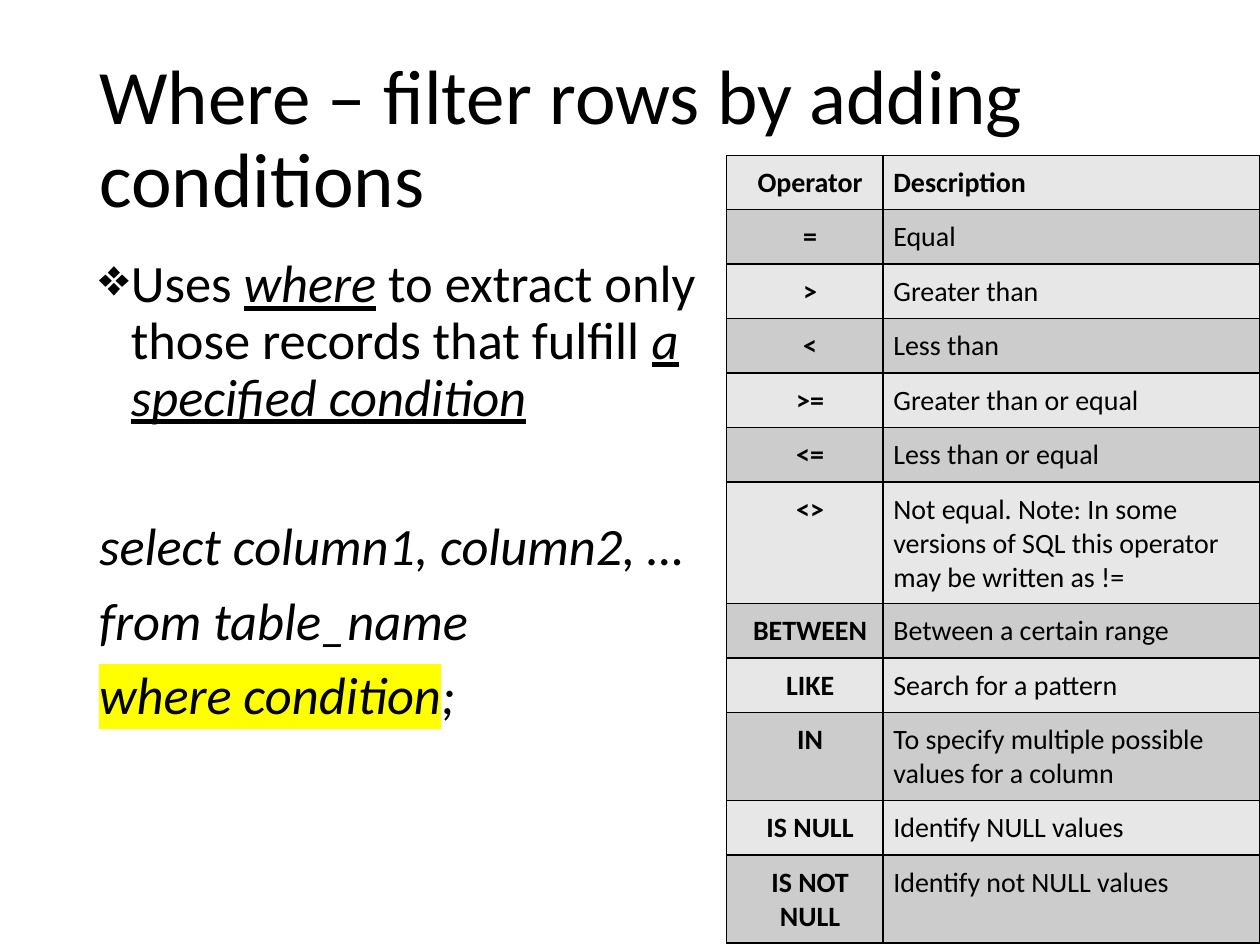
from lxml.etree import SubElement
from pptx import Presentation
from pptx.dml.color import RGBColor
from pptx.enum.text import MSO_ANCHOR, PP_ALIGN
from pptx.oxml import parse_xml
from pptx.oxml.ns import nsdecls, qn
from pptx.util import Cm, Pt

BLACK = "000000"
HEADER_BAND, ALTERNATE_BAND = "E7E7E7", "CCCCCC"
OPERATORS = [
    ("Operator", "Description"),
    ("=", "Equal"),
    (">", "Greater than"),
    ("<", "Less than"),
    (">=", "Greater than or equal"),
    ("<=", "Less than or equal"),
    ("<>", "Not equal.\u00a0Note:\u00a0In some versions of SQL this operator may be written as !="),
    ("BETWEEN", "Between a certain range"),
    ("LIKE", "Search for a pattern"),
    ("IN", "To specify multiple possible values for a column"),
    ("IS NULL", "Identify NULL values"),
    ("IS NOT NULL", "Identify not NULL values"),
]


def paint(color_holder, color):
    if hasattr(color_holder, "solid"):
        color_holder.solid()
        color_holder = color_holder.fore_color
    color_holder.rgb = RGBColor.from_string(color)


def add_words(paragraph, words, size, bold=False, italic=False, underline=False, highlight=None):
    run = paragraph.add_run()
    run.text = words
    font = run.font
    font.name, font.size = "Calibri", Pt(size)
    font.bold, font.italic, font.underline = bold, italic, underline
    paint(font.fill, BLACK)
    if highlight:
        marker = parse_xml(
            f'<a:highlight {nsdecls("a")}><a:srgbClr val="{highlight}"/></a:highlight>')
        font.fill.fore_color
        run._r.rPr.find(qn("a:solidFill")).addnext(marker)


def add_frame(slide, box, anchor):
    frame = slide.shapes.add_textbox(*box).text_frame
    frame.word_wrap = True
    frame.vertical_anchor = anchor
    return frame


def add_heading(slide, box):
    heading = add_frame(slide, box, MSO_ANCHOR.MIDDLE).paragraphs[0]
    heading.line_spacing = 0.9
    add_words(heading, "Where – filter rows by adding conditions", 44)


def add_explanation(slide, box):
    emphasis = {"italic": True, "underline": True}
    slanted = {"italic": True}
    lines = [
        (10, [("Uses ", {}), ("where", emphasis),
              (" to extract only those records that fulfill ", {}),
              ("a specified condition", emphasis)]),
        (53, [("select column1, column2, …", slanted)]),
        (10, [("from table_name", slanted)]),
        (10, [("where condition", {"italic": True, "highlight": "FFFF00"}), (";", slanted)]),
    ]
    frame = add_frame(slide, box, MSO_ANCHOR.TOP)
    for index, (gap, pieces) in enumerate(lines):
        line = frame.add_paragraph() if index else frame.paragraphs[0]
        line.line_spacing, line.space_before = 0.9, Pt(gap)
        for words, style in pieces:
            add_words(line, words, 30, **style)
    usage = frame.paragraphs[0]._p.get_or_add_pPr()
    usage.set("marL", str(Cm(0.64)))
    usage.set("indent", str(Cm(-0.64)))
    SubElement(usage, qn("a:buChar"), char="❖")


def add_borders(cell):
    properties = cell._tc.get_or_add_tcPr()
    for side in "LRTB":
        properties.append(parse_xml(
            f'<a:ln{side} {nsdecls("a")} w="{Pt(1)}"><a:solidFill>'
            f'<a:srgbClr val="{BLACK}"/></a:solidFill></a:ln{side}>'))


def add_operator_table(slide, box):
    left, top, width, row_height = box
    operators = slide.shapes.add_table(
        len(OPERATORS), 2, left, top, width, row_height * len(OPERATORS)).table
    operators.columns[0].width = Cm(3.15)
    operators.columns[1].width = width - Cm(3.15)
    for row, entries in enumerate(OPERATORS):
        operators.rows[row].height = row_height
        for column, words in enumerate(entries):
            cell = operators.cell(row, column)
            add_borders(cell)
            paint(cell.fill, ALTERNATE_BAND if row % 2 else HEADER_BAND)
            cell.margin_left = Cm(0.21 if column else 0.42)
            cell.margin_right = cell.margin_top = cell.margin_bottom = Cm(0.21)
            entry = cell.text_frame.paragraphs[0]
            entry.alignment = PP_ALIGN.LEFT if column else PP_ALIGN.CENTER
            add_words(entry, words, 16, bold=row == 0 or column == 0)


def build():
    deck = Presentation()
    deck.slide_width, deck.slide_height = Cm(25.4), Cm(19.05)
    slide = deck.slides.add_slide(deck.slide_layouts[6])
    paint(slide.background.fill, "FFFFFF")
    add_heading(slide, (Cm(1.75), Cm(1.01), Cm(21.9), Cm(3.68)))
    add_explanation(slide, (Cm(1.75), Cm(5.07), Cm(12.9), Cm(12.09)))
    add_operator_table(slide, (Cm(14.65), Cm(3.13), Cm(10.75), Cm(0.89)))
    deck.save("out.pptx")


build()
